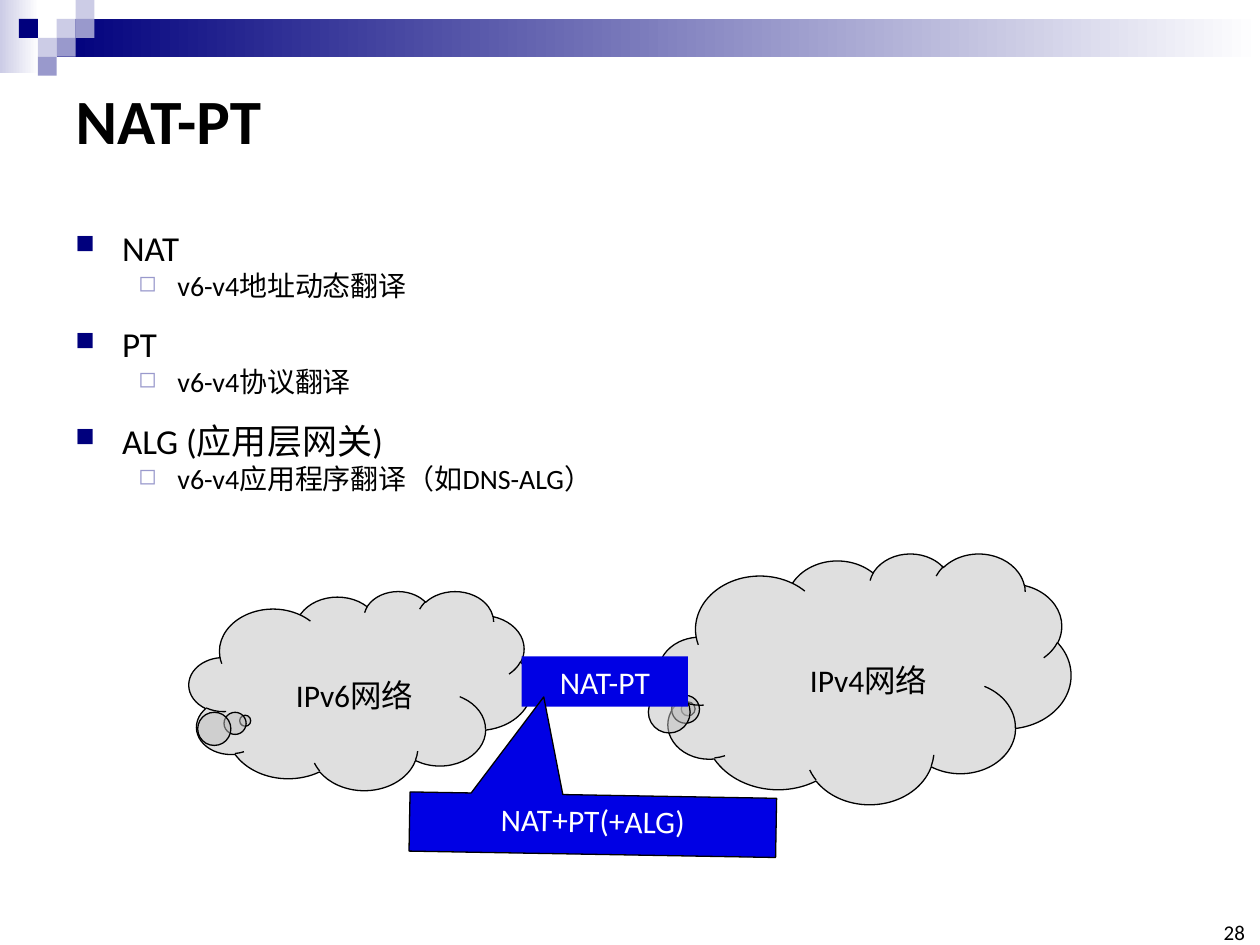
from dataclasses import dataclass

from lxml import etree
from pptx import Presentation
from pptx.dml.color import RGBColor
from pptx.enum import shapes, text
from pptx.oxml.ns import qn
from pptx.util import Inches, Pt

FONT = "Calibri"
COLORS = {
    "navy": "00007D", "lilac": "9999CC", "pale": "CCCCE6", "white": "FFFFFF",
    "black": "000000", "cloud": "C0C0C0", "blue": "0000E4",
}
MSO = shapes.MSO_SHAPE
ALIGN = text.PP_ALIGN
ANCHOR = text.MSO_ANCHOR


@dataclass
class Box:
    left: float
    top: float
    width: float
    height: float

    def emu(self) -> tuple:
        return tuple(Inches(v) for v in (self.left, self.top, self.width, self.height))


@dataclass
class Level:
    bullet: str
    color: str
    percent: int
    margin: float
    indent: float
    size: int
    spacing: float


@dataclass
class Cloud:
    box: Box
    tail: tuple
    label: str
    label_box: Box


LEVELS = [
    Level("■", "navy", 75, 0.37, -0.37, 20, 1.5),
    Level("◻", "lilac", 80, 0.81, -0.31, 16, 1.0),
]
BULLETS = [
    ("NAT", "v6-v4地址动态翻译"),
    ("PT", "v6-v4协议翻译"),
    ("ALG (应用层网关)", "v6-v4应用程序翻译（如DNS-ALG）"),
]
CLOUDS = [
    Cloud(Box(1.5, 4.69, 2.72, 1.58), (-0.336, 0.152), "IPv6网络", Box(2.25, 5.32, 1.48, 0.4)),
    Cloud(Box(5.23, 4.39, 3.27, 1.99), (-0.429, 0.121), "IPv4网络", Box(6.33, 5.2, 1.56, 0.4)),
]
TILE = 0.15
TILES = [  # column, row, colour
    (3, 1, "pale"), (4, 0, "pale"), (4, 1, "lilac"), (2, 2, "pale"),
    (1, 1, "navy"), (3, 2, "lilac"), (2, 3, "lilac"),
]


def rgb(name: str) -> RGBColor:
    return RGBColor.from_string(COLORS[name])


def write(tf, content: str, *, size=18, color="black", bold=False, align=ALIGN.LEFT,
          anchor=ANCHOR.TOP, margin=None):
    """Put one formatted paragraph into a text frame."""
    tf.word_wrap = True
    tf.vertical_anchor = anchor
    if margin is not None:
        tf.margin_left = tf.margin_right = tf.margin_top = tf.margin_bottom = Inches(margin)
    p = tf.paragraphs[0]
    p.alignment = align
    r = p.add_run()
    r.text = content
    r.font.name, r.font.size, r.font.bold = FONT, Pt(size), bold
    r.font.color.rgb = rgb(color)


def add_shape(slide, kind, box: Box, fill: str, *, fade=False, outline=False, adj=()):
    """Draw a preset shape, solid or fading to white."""
    sp = slide.shapes.add_shape(kind, *box.emu())
    sp.shadow.inherit = False
    if fade:
        sp.fill.gradient()
        sp.fill.gradient_angle = 0
        for stop, name in zip(sp.fill.gradient_stops, (fill, "white")):
            stop.color.rgb = rgb(name)
    else:
        sp.fill.solid()
        sp.fill.fore_color.rgb = rgb(fill)
    if outline:
        sp.line.color.rgb = rgb("black")
        sp.line.width = Pt(0.75)
    else:
        sp.line.fill.background()
    for i, value in enumerate(adj):
        sp.adjustments[i] = value
    return sp


def add_label(slide, box: Box, content: str, **fmt):
    write(slide.shapes.add_textbox(*box.emu()).text_frame, content, **fmt)


def set_transparent(sp, percent: int):
    color = sp.fill._xPr.find(qn("a:solidFill"))[0]
    etree.SubElement(color, qn("a:alpha")).set("val", str((100 - percent) * 1000))


def add_bullet(p, content: str, level: int):
    """Fill a paragraph as a list item of the given level."""
    lv = LEVELS[level]
    p.level = level
    p.line_spacing = lv.spacing
    pPr = p._p.get_or_add_pPr()
    pPr.set("marL", str(Inches(lv.margin)))
    pPr.set("indent", str(Inches(lv.indent)))
    clr = etree.SubElement(pPr, qn("a:buClr"))
    etree.SubElement(clr, qn("a:srgbClr")).set("val", COLORS[lv.color])
    etree.SubElement(pPr, qn("a:buSzPct")).set("val", str(lv.percent * 1000))
    etree.SubElement(pPr, qn("a:buChar")).set("char", lv.bullet)
    r = p.add_run()
    r.text = content
    r.font.name, r.font.size = FONT, Pt(lv.size)
    r.font.color.rgb = rgb("black")


def main():
    prs = Presentation()
    prs.slide_width, prs.slide_height = Inches(10), Inches(7.5)
    slide = prs.slides.add_slide(prs.slide_layouts[5])

    # Header band and tiles
    add_shape(slide, MSO.RECTANGLE, Box(0, 0, 0.31, 0.58), "pale", fade=True)
    add_shape(slide, MSO.RECTANGLE, Box(0.45, 0.15, 9.55, 0.3), "navy", fade=True)
    for col, row, color in TILES:
        add_shape(slide, MSO.RECTANGLE, Box(col * TILE, row * TILE, TILE, TILE), color)

    # Title and page number
    title = slide.shapes.title
    title.left, title.top, title.width, title.height = Box(0.5, 0.5, 9, 0.89).emu()
    write(title.text_frame, "NAT-PT", size=36, bold=True, anchor=ANCHOR.MIDDLE)
    add_label(slide, Box(9.5, 7.33, 0.38, 0.17), "28", size=12, align=ALIGN.RIGHT,
              anchor=ANCHOR.BOTTOM, margin=0)

    # Bullet list
    tf = slide.shapes.add_textbox(*Box(0.5, 1.58, 9.15, 4).emu()).text_frame
    tf.word_wrap = True
    items = [(t, level) for pair in BULLETS for level, t in enumerate(pair)]
    for i, (content, level) in enumerate(items):
        add_bullet(tf.add_paragraph() if i else tf.paragraphs[0], content, level)

    # Network clouds, joined by the translator
    for cloud in CLOUDS:
        sp = add_shape(slide, MSO.CLOUD_CALLOUT, cloud.box, "cloud", outline=True, adj=cloud.tail)
        set_transparent(sp, 50)
    sp = add_shape(slide, MSO.RECTANGLE, Box(4.14, 5.21, 1.32, 0.4), "blue")
    write(sp.text_frame, "NAT-PT", color="white", align=ALIGN.CENTER)
    for cloud in CLOUDS:
        add_label(slide, cloud.label_box, cloud.label)

    # Callout pointing up, with its text turned back upright
    sp = add_shape(slide, MSO.RECTANGULAR_CALLOUT, Box(3.25, 6.31, 2.91, 0.47), "blue",
                   outline=True, adj=(0.14, 2.143))
    sp.rotation = 181
    write(sp.text_frame, "NAT+PT(+ALG)", color="white", align=ALIGN.CENTER)
    sp.text_frame._txBody.bodyPr.set("rot", str(180 * 60000))

    prs.save("out.pptx")


if __name__ == "__main__":
    main()
